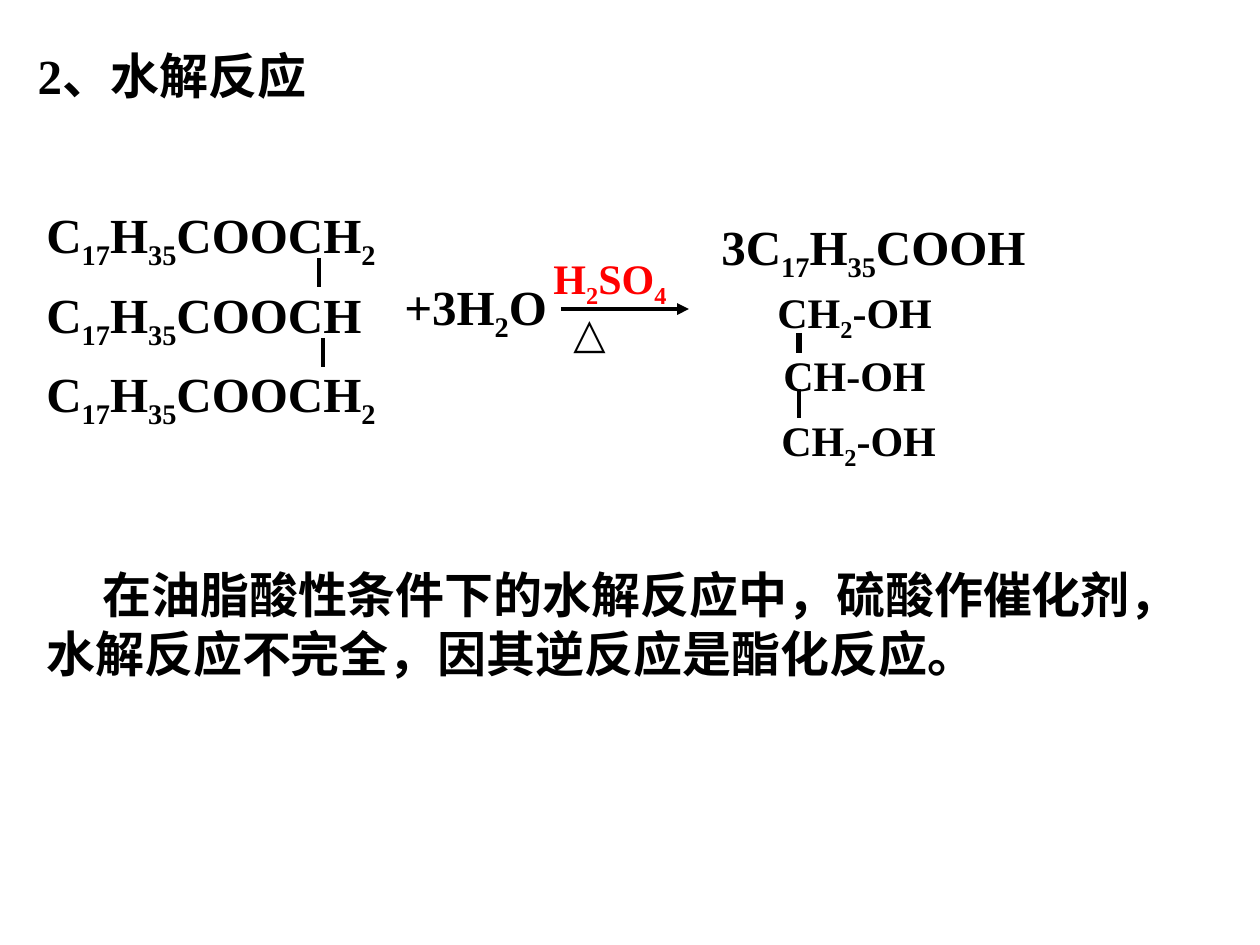
from dataclasses import dataclass

import pptx
import pptx.dml.color
import pptx.enum.dml
import pptx.enum.shapes
import pptx.enum.text
import pptx.oxml
import pptx.oxml.ns
import pptx.util

EMU_PER_PX = 914400 / 126


@dataclass(frozen=True)
class Theme:
    font: str = "Times New Roman"
    ink: str = "000000"
    accent: str = "FF0000"
    large: int = 28
    small: int = 24
    line: float = 2.25
    heavy_line: float = 3


THEME = Theme()


@dataclass(frozen=True)
class Formula:
    text: str
    left: int
    top: int
    width: int
    height: int
    size: int = THEME.large
    color: str = THEME.ink
    bold: bool = True


@dataclass(frozen=True)
class Stroke:
    left: int
    top: int
    right: int
    bottom: int
    weight: float = THEME.line
    arrow: bool = False


ESTER_TEXTS = ("C~17~H~35~COOCH~2", "C~17~H~35~COOCH", "C~17~H~35~COOCH~2")
ESTERS = [
    Formula(text, 34, 198 + round(79.5 * row), 407, 79)
    for row, text in enumerate(ESTER_TEXTS)
]
GLYCEROL = [
    Formula("CH~2~-OH", 765, 280, 258, 71, THEME.small),
    Formula("CH-OH", 771, 343, 277, 63, THEME.small),
    Formula("CH~2~-OH", 769, 408, 228, 71, THEME.small),
]
FORMULAS = [
    *ESTERS,
    Formula("+3H~2~O", 392, 270, 179, 79),
    Formula("H~2~SO~4", 541, 246, 159, 71, THEME.small, THEME.accent),
    Formula("△", 561, 300, 129, 63, THEME.small, bold=False),
    Formula("3C~17~H~35~COOH", 709, 210, 367, 79),
    *GLYCEROL,
]
STROKES = [
    Stroke(319, 258, 319, 287),
    Stroke(323, 338, 323, 367),
    Stroke(561, 309, 689, 309, arrow=True),
    Stroke(799, 333, 799, 353, THEME.heavy_line),
    Stroke(799, 389, 799, 418),
]


def px(value: int) -> pptx.util.Emu:
    return pptx.util.Emu(round(value * EMU_PER_PX))


def write_text(box, text: str, *, size: int = THEME.large, color: str = THEME.ink,
               bold: bool = True, indent: int = 0) -> None:
    frame = box.text_frame
    frame.word_wrap = True
    frame.auto_size = pptx.enum.text.MSO_AUTO_SIZE.SHAPE_TO_FIT_TEXT
    frame.vertical_anchor = pptx.enum.text.MSO_ANCHOR.TOP
    para = frame.paragraphs[0]
    para.alignment = pptx.enum.text.PP_ALIGN.LEFT
    para.space_before = pptx.util.Pt(0)
    para.line_spacing = 1.0
    if indent:
        properties = para._p.get_or_add_pPr()
        properties.set("marL", "0")
        properties.set("indent", str(px(indent)))
    for index, part in enumerate(text.split("~")):
        if not part:
            continue
        span = para.add_run()
        span.text = part
        span.font.name = THEME.font
        span.font.size = pptx.util.Pt(size)
        span.font.bold = bold
        span.font.color.rgb = pptx.dml.color.RGBColor.from_string(color)
        if index % 2:
            span._r.get_or_add_rPr().set("baseline", "-25000")


def draw_formula(shapes, formula: Formula) -> None:
    box = shapes.add_textbox(px(formula.left), px(formula.top),
                             px(formula.width), px(formula.height))
    write_text(box, formula.text, size=formula.size, color=formula.color,
               bold=formula.bold)


def draw_stroke(shapes, stroke: Stroke) -> None:
    connector = shapes.add_connector(
        pptx.enum.shapes.MSO_CONNECTOR.STRAIGHT,
        px(stroke.left), px(stroke.top), px(stroke.right), px(stroke.bottom))
    connector.line.width = pptx.util.Pt(stroke.weight)
    connector.line.color.rgb = pptx.dml.color.RGBColor.from_string(THEME.ink)
    if stroke.arrow:
        head = pptx.oxml.parse_xml(
            f'<a:tailEnd {pptx.oxml.ns.nsdecls("a")} type="triangle"/>')
        connector.line._get_or_add_ln().append(head)
    connector._element.spPr.append(
        pptx.oxml.parse_xml(f'<a:effectLst {pptx.oxml.ns.nsdecls("a")}/>'))


def main() -> None:
    deck = pptx.Presentation()
    deck.slide_width, deck.slide_height = px(1260), px(945)
    page = deck.slides.add_slide(deck.slide_layouts.get_by_name("Title Only"))

    title = page.shapes.title
    title.left, title.top, title.width, title.height = px(25), px(39), px(476), px(72)
    write_text(title, "2、水解反应")

    reaction = page.shapes.add_group_shape().shapes
    for formula in FORMULAS:
        draw_formula(reaction, formula)
    for stroke in STROKES:
        draw_stroke(reaction, stroke)

    remark = page.shapes.add_textbox(px(34), px(558), px(1171), px(131))
    write_text(remark, "在油脂酸性条件下的水解反应中，硫酸作催化剂，"
               "水解反应不完全，因其逆反应是酯化反应。", indent=56)

    deck.save("out.pptx")


if __name__ == "__main__":
    main()
